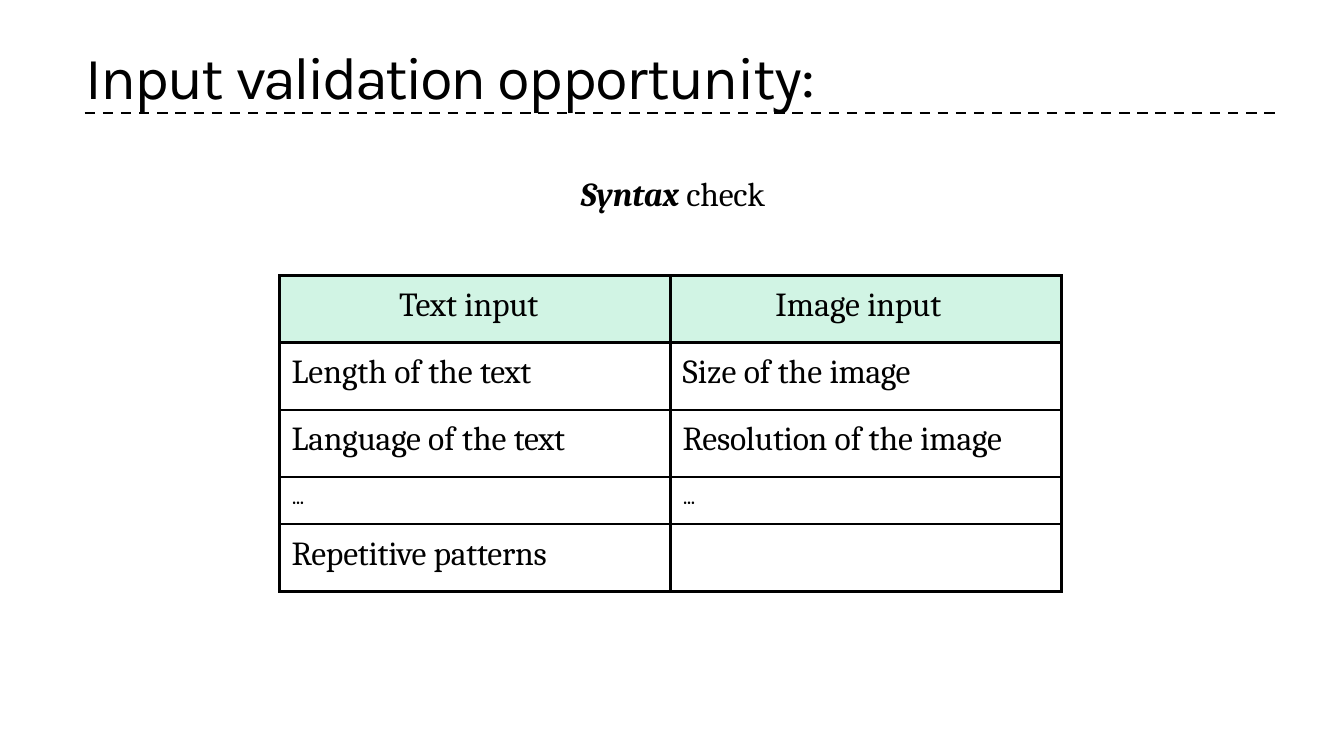
"""Builds the slide on syntax checks for text and image input."""
from lxml import etree
from pptx import Presentation
from pptx.dml.color import RGBColor
from pptx.enum import dml, shapes, text
from pptx.oxml.ns import qn
from pptx.util import Inches, Pt

BLACK = RGBColor(0x00, 0x00, 0x00)
MINT = RGBColor(0xD1, 0xF4, 0xE4)
HEAD, BODY = "Karla", "Cambria"

TITLE = [("Input ", -1.1), ("validation ", -1.5), ("opportunity:", -0.8)]
SUBTITLE = [("Syntax ", 0, True, True), ("check", -0.1)]
DOTS = [("…", -0.5, True)]
ROWS = [
    ([("Text ", 0), ("input", -0.1)], [("Image ", 0), ("input", -0.1)]),
    ([("Length of the ", 0), ("text", -0.2)], [("Size of the ", 0), ("image", -0.2)]),
    ([("Language ", -0.1), ("of the ", 0), ("text", -0.2)],
     [("Resolution ", -0.1), ("of the ", 0), ("image", -0.1)]),
    (DOTS, DOTS),
    ([("Repetitive patterns", -0.1)], []),
]
HEADER_INDENTS = (0.89, 0.78)
CELL_INDENT = 0.09
COL_W, ROW_H, DOTS_H = 2.91, 0.5, 0.35


def add_runs(p, runs, font, size, indent=0.01, before=1):
    p.alignment = text.PP_ALIGN.LEFT
    p.space_before = Pt(before)
    pPr = p._p.get_or_add_pPr()
    pPr.set("marL", str(Inches(indent)))
    pPr.set("indent", "0")
    for words, spacing, *style in runs:
        bold, italic = (style + [False, False])[:2]
        r = p.add_run()
        r.text = words
        f = r.font
        f.name, f.size, f.bold, f.italic = font, Pt(size), bold, italic
        f.color.rgb = BLACK
        rPr = r._r.get_or_add_rPr()
        rPr.set("spc", str(round(spacing * 100)))
        rPr.set("kern", "0")


def set_frame(tf, anchor):
    tf.word_wrap = True
    tf.auto_size = text.MSO_AUTO_SIZE.SHAPE_TO_FIT_TEXT
    tf.vertical_anchor = anchor
    tf.margin_left = tf.margin_right = tf.margin_bottom = 0
    tf.margin_top = Inches(0.01)


def add_borders(cell):
    tcPr = cell._tc.get_or_add_tcPr()
    for side in ("lnL", "lnR", "lnT", "lnB"):
        ln = etree.SubElement(tcPr, qn(f"a:{side}"), w=str(Pt(1.5)))
        fill = etree.SubElement(ln, qn("a:solidFill"))
        etree.SubElement(fill, qn("a:srgbClr"), val=str(BLACK))


def add_checks(s):
    heights = [DOTS_H if row[0] is DOTS else ROW_H for row in ROWS]
    table = s.shapes.add_table(len(ROWS), 2, Inches(2.08), Inches(2.05),
                               Inches(2 * COL_W), Inches(sum(heights))).table
    table.first_row = table.horz_banding = False
    for col in table.columns:
        col.width = Inches(COL_W)
    for i, row in enumerate(ROWS):
        table.rows[i].height = Inches(heights[i])
        for j, runs in enumerate(row):
            cell = table.cell(i, j)
            dots = runs is DOTS
            cell.margin_left = cell.margin_right = cell.margin_bottom = 0
            cell.margin_top = Inches(0.09 if dots else 0.08)
            add_borders(cell)
            if i == 0:
                cell.fill.solid()
                cell.fill.fore_color.rgb = MINT
            else:
                cell.fill.background()
            add_runs(cell.text_frame.paragraphs[0], runs, BODY, 9 if dots else 18,
                     CELL_INDENT if i else HEADER_INDENTS[j], 6.4 if dots else 6)


def main():
    prs = Presentation()
    prs.slide_width = Inches(10)
    prs.slide_height = prs.slide_width * 9 // 16
    s = prs.slides.add_slide(prs.slide_layouts[5])

    title = s.shapes.title
    title.left, title.top = Inches(0.63), Inches(0.28)
    title.width, title.height = Inches(8.62), Inches(0.55)
    set_frame(title.text_frame, text.MSO_ANCHOR.MIDDLE)
    add_runs(title.text_frame.paragraphs[0], TITLE, HEAD, 32)

    rule = s.shapes.add_connector(shapes.MSO_CONNECTOR.STRAIGHT, Inches(0.63),
                                  Inches(0.84), Inches(9.51), Inches(0.84))
    rule.line.color.rgb = BLACK
    rule.line.width = Pt(1.39)
    rule.line.dash_style = dml.MSO_LINE.DASH
    etree.SubElement(rule._element.spPr, qn("a:effectLst"))

    subtitle = s.shapes.add_textbox(Inches(4.31), Inches(1.28), Inches(1.64), Inches(0.33))
    set_frame(subtitle.text_frame, text.MSO_ANCHOR.TOP)
    add_runs(subtitle.text_frame.paragraphs[0], SUBTITLE, BODY, 18)

    add_checks(s)
    prs.save("out.pptx")


if __name__ == "__main__":
    main()
